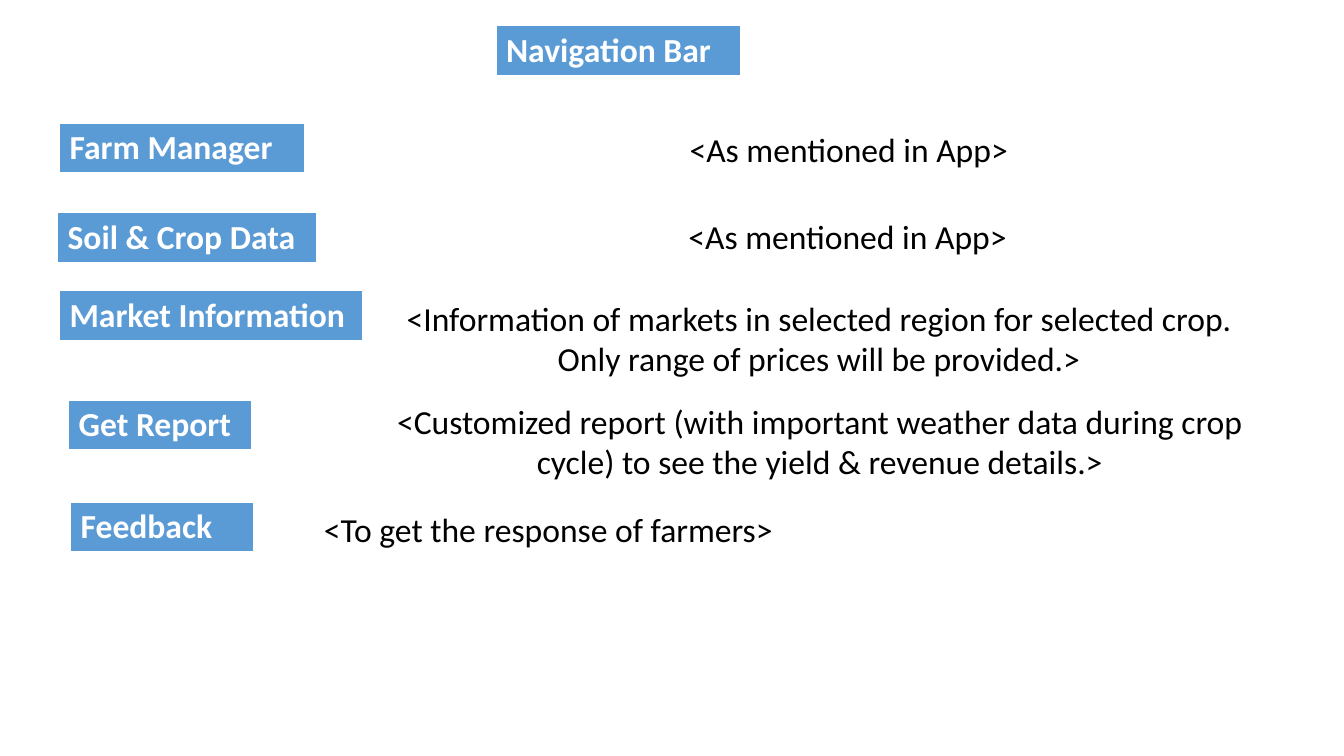
import pptx
import pptx.util
import pptx.dml.color
import pptx.enum.text
import pptx.oxml
import pptx.oxml.ns
from pptx.util import Cm

COLORS = {"label": "5B9BD5", "light": "FFFFFF", "text": "000000"}
LABEL_FONT = {"name": "Calibri", "size": pptx.util.Pt(24), "bold": True}
NOTE_FONT = {"name": "Calibri", "size": pptx.util.Pt(24), "bold": False}
BORDERS = {"lnL": 1, "lnR": 1, "lnT": 1, "lnB": 3}
ROW_HEIGHT, LABEL_HEIGHT = 1.04, 1.27
LINE_HEIGHT, NOTE_PADDING = 1.03, 0.25

# Labels: text, left, top, width in cm
LABELS = [
    ("Navigation Bar", 12.5, 0.64, 6.17),
    ("Farm Manager", 1.5, 3.1, 6.17),
    ("Soil & Crop Data", 1.45, 5.36, 6.53),
    ("Market Information", 1.5, 7.32, 7.65),
    ("Get Report", 1.73, 10.08, 4.62),
    ("Feedback", 1.78, 12.65, 4.62),
]
# Notes: text, left, top, width in cm, number of lines
NOTES = [
    ("<As mentioned in App>", 15.14, 3.12, 12.5, 1),
    ("<As mentioned in App>", 15.11, 5.31, 12.5, 1),
    ("<Information of markets in selected region for selected crop. "
     "Only range of prices will be provided.>", 9.25, 7.37, 22.78, 2),
    ("<Customized report (with important weather data during crop cycle) "
     "to see the yield & revenue details.>", 9.27, 9.98, 22.78, 2),
    ("<To get the response of farmers>", 7.57, 12.7, 12.5, 1),
]


def rgb(name):
    return pptx.dml.color.RGBColor.from_string(COLORS[name])


def write(tf, text, font, color, align):
    p = tf.paragraphs[0]
    p.alignment = align
    r = p.add_run()
    r.text = text
    for key, value in font.items():
        setattr(r.font, key, value)
    r.font.color.rgb = rgb(color)


def add_label(slide, text, left, top, width):
    s = slide.shapes.add_table(1, 1, Cm(left), Cm(top), Cm(width), Cm(ROW_HEIGHT))
    s.height = Cm(LABEL_HEIGHT)
    cell = s.table.cell(0, 0)
    # Cell borders
    tc_pr = cell._tc.get_or_add_tcPr()
    for tag, points in BORDERS.items():
        tc_pr.append(pptx.oxml.parse_xml(
            f'<a:{tag} {pptx.oxml.ns.nsdecls("a")} w="{pptx.util.Pt(points)}">'
            f'<a:solidFill><a:srgbClr val="{COLORS["light"]}"/></a:solidFill></a:{tag}>'))
    cell.fill.solid()
    cell.fill.fore_color.rgb = rgb("label")
    write(cell.text_frame, text, LABEL_FONT, "light", pptx.enum.text.PP_ALIGN.LEFT)


def add_note(slide, text, left, top, width, lines):
    height = lines * LINE_HEIGHT + NOTE_PADDING
    s = slide.shapes.add_textbox(Cm(left), Cm(top), Cm(width), Cm(height))
    tf = s.text_frame
    tf.word_wrap = True
    tf.auto_size = pptx.enum.text.MSO_AUTO_SIZE.SHAPE_TO_FIT_TEXT
    write(tf, text, NOTE_FONT, "text", pptx.enum.text.PP_ALIGN.CENTER)


def main():
    prs = pptx.Presentation()
    prs.slide_width, prs.slide_height = Cm(33.87), Cm(19.05)
    slide = prs.slides.add_slide(prs.slide_layouts[6])
    for label in LABELS:
        add_label(slide, *label)
    for note in NOTES:
        add_note(slide, *note)
    prs.save("out.pptx")


if __name__ == "__main__":
    main()
